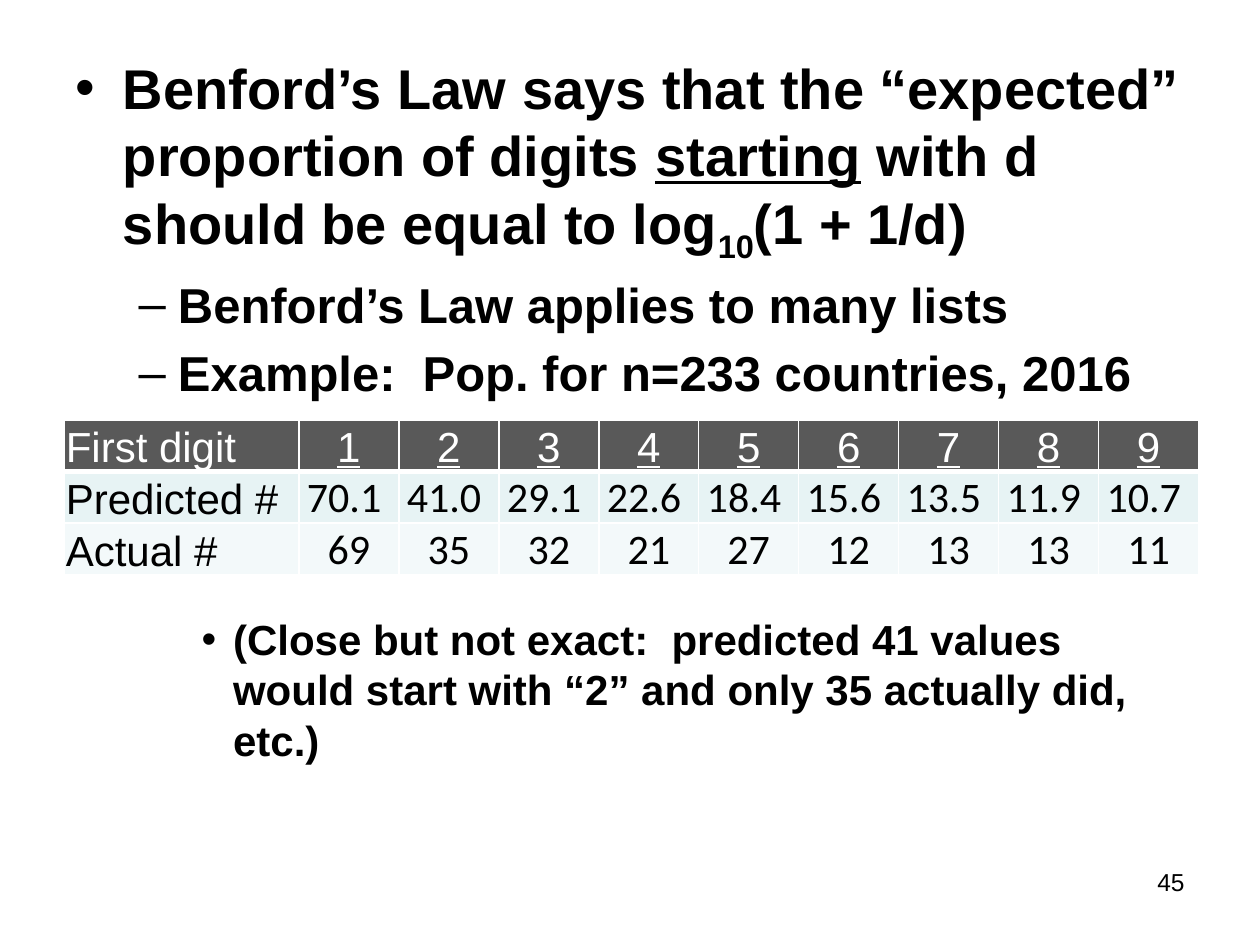
"""Build the Benford's Law slide with its predicted and actual digit counts."""
from lxml import etree
from pptx import Presentation
from pptx.dml.color import RGBColor
from pptx.enum.text import MSO_ANCHOR, PP_ALIGN
from pptx.oxml.ns import qn
from pptx.util import Pt

BOTTOM = MSO_ANCHOR.BOTTOM
LEFT, CENTER, RIGHT = PP_ALIGN.LEFT, PP_ALIGN.CENTER, PP_ALIGN.RIGHT
BLACK = RGBColor(0x00, 0x00, 0x00)
WHITE = RGBColor(0xFF, 0xFF, 0xFF)
HEADER_GRAY = RGBColor(0x59, 0x59, 0x59)
PALE_TEAL = RGBColor(0xE7, 0xF3, 0xF4)
PALEST_TEAL = RGBColor(0xF3, 0xF9, 0xFA)


def add_text(paragraph, text, size=24, font="Arial", color=BLACK, bold=False,
             underline=False, baseline=None):
    run = paragraph.add_run()
    run.text = text
    run.font.size = Pt(size)
    run.font.name = font
    run.font.color.rgb = color
    run.font.bold = bold
    run.font.underline = underline
    if baseline:
        run._r.get_or_add_rPr().set("baseline", str(baseline))


def add_border(cell, side, width):
    line = etree.SubElement(cell._tc.get_or_add_tcPr(), qn(f"a:ln{side}"), w=str(Pt(width)))
    fill = etree.SubElement(line, qn("a:solidFill"))
    etree.SubElement(fill, qn("a:srgbClr"), val=str(WHITE))


presentation = Presentation()
presentation.slide_width = Pt(720)
presentation.slide_height = Pt(540)
slide = presentation.slides.add_slide(presentation.slide_layouts.get_by_name("Title and Content"))
title = slide.shapes.title
title.element.getparent().remove(title.element)

body = slide.placeholders[1]
body.left, body.top, body.width, body.height = Pt(36), Pt(27), Pt(648), Pt(459)
body.fill.solid()
body.fill.fore_color.rgb = WHITE
body_color = body.element.spPr.find(".//" + qn("a:srgbClr"))
etree.SubElement(body_color, qn("a:alpha"), val="90000")

law = body.text_frame.paragraphs[0]
for text, style in [
    ("Benford’s Law says that the “expected” proportion of digits ", {}),
    ("starting", {"underline": True}),
    (" with d should be equal to log", {}),
    ("10", {"baseline": -25000}),
    ("(1 + 1/d)", {}),
]:
    add_text(law, text, size=32, bold=True, **style)

for level, size, text in [
    (1, 28, "Benford’s Law applies to many lists"),
    (1, 28, "Example:  Pop. for n=233 countries, 2016"),
    (2, 24, "(Close but not exact:  predicted 41 values would start with “2” "
            "and only 35 actually did, etc.)"),
]:
    paragraph = body.text_frame.add_paragraph()
    paragraph.level = level
    add_text(paragraph, text, size=size, bold=True)
paragraph.space_before = Pt(121)

number_box = slide.shapes.add_textbox(Pt(516), Pt(492), Pt(168), Pt(37.5))
number_box.text_frame.word_wrap = True
number = number_box.text_frame.paragraphs[0]
number.alignment = RIGHT
add_text(number, "45", size=14)

predicted = [70.1, 41.0, 29.1, 22.6, 18.4, 15.6, 13.5, 11.9, 10.7]
actual = [69, 35, 32, 21, 27, 12, 13, 13, 11]
rows = [
    (["First digit", *map(str, range(1, 10))], HEADER_GRAY, WHITE, "Arial", True),
    (["Predicted #", *(f"{value} " for value in predicted)], PALE_TEAL, BLACK, "Calibri", False),
    (["Actual #", *map(str, actual)], PALEST_TEAL, BLACK, "Calibri", False),
]
table = slide.shapes.add_table(3, 10, Pt(36.9), Pt(239.9), Pt(648), Pt(88)).table
for index, column in enumerate(table.columns):
    column.width = Pt(57.12 if index else 133.92)

for row_index, (texts, fill, color, value_font, underline) in enumerate(rows):
    table.rows[row_index].height = Pt(29.3)
    for column_index, text in enumerate(texts):
        is_value = column_index > 0
        cell = table.cell(row_index, column_index)
        cell.margin_left = cell.margin_top = cell.margin_right = Pt(0.72)
        cell.margin_bottom = Pt(0)
        cell.vertical_anchor = BOTTOM
        for side in "LRTB":
            header_edge = (row_index, side) in [(0, "B"), (1, "T")]
            add_border(cell, side, 3 if header_edge else 1)
        cell.fill.solid()
        cell.fill.fore_color.rgb = fill
        paragraph = cell.text_frame.paragraphs[0]
        paragraph.alignment = CENTER if is_value else LEFT
        add_text(paragraph, text, font=value_font if is_value else "Arial",
                 color=color, underline=underline and is_value)

presentation.save("out.pptx")
